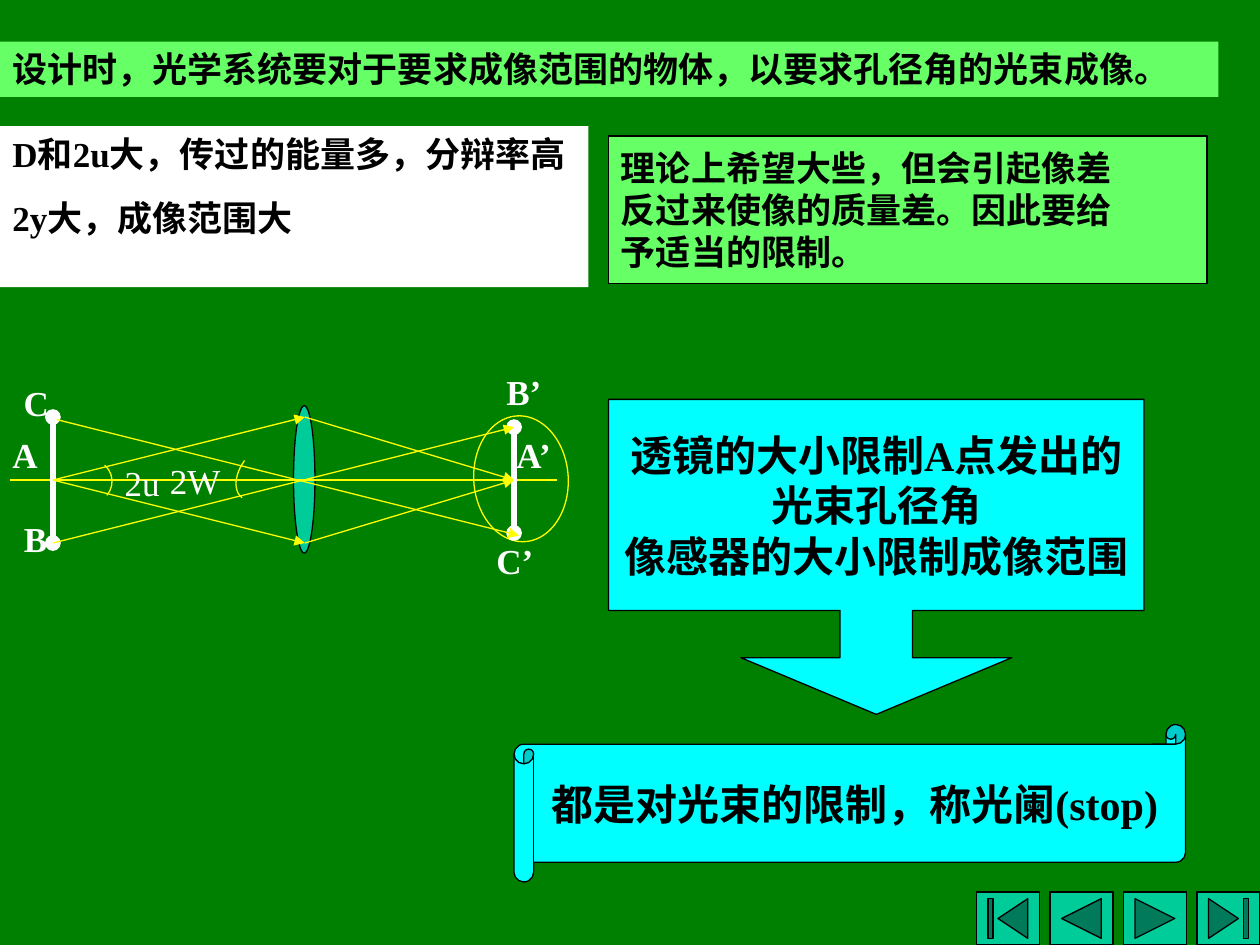
"""Build the slide on how a lens and a sensor limit the light beam."""
import pptx
import pptx.util
import pptx.dml.color
import pptx.enum.shapes
import pptx.enum.text
import pptx.oxml
import pptx.oxml.ns
from pptx.util import Inches

RGBColor = pptx.dml.color.RGBColor
MSO_SHAPE = pptx.enum.shapes.MSO_SHAPE
MSO_ANCHOR = pptx.enum.text.MSO_ANCHOR
PP_ALIGN = pptx.enum.text.PP_ALIGN

GREEN = RGBColor(0x00, 0x80, 0x00)
LIGHT_GREEN = RGBColor(0x66, 0xFF, 0x66)
TEAL = RGBColor(0x00, 0xCC, 0x99)
CYAN = RGBColor(0x00, 0xFF, 0xFF)
YELLOW = RGBColor(0xFF, 0xFF, 0x00)
WHITE = RGBColor(0xFF, 0xFF, 0xFF)
BLACK = RGBColor(0x00, 0x00, 0x00)


def write_text(shape, text, size=20, color=BLACK, bold=True, align=PP_ALIGN.LEFT,
               anchor=MSO_ANCHOR.TOP, wrap=False, space_before=0, font="Times New Roman"):
    frame = shape.text_frame
    frame.word_wrap = wrap
    frame.vertical_anchor = anchor
    for index, line in enumerate(text.split("\n")):
        paragraph = frame.add_paragraph() if index else frame.paragraphs[0]
        paragraph.alignment = align
        if index:
            paragraph.space_before = pptx.util.Pt(space_before)
        run = paragraph.add_run()
        run.text = line
        run.font.name = font
        run.font.size = pptx.util.Pt(size)
        run.font.bold = bold
        run.font.color.rgb = color


class SlideBuilder:
    def __init__(self, presentation, background):
        self.slide = presentation.slides.add_slide(presentation.slide_layouts[6])
        self.slide.background.fill.solid()
        self.slide.background.fill.fore_color.rgb = background
        self.thin = pptx.util.Pt(0.75)

    def shape(self, kind, left, top, width, height, fill=None, line=BLACK,
              rotation=0, adjustments=()):
        shape = self.slide.shapes.add_shape(
            kind, Inches(left), Inches(top), Inches(width), Inches(height))
        shape.shadow.inherit = False
        shape.rotation = rotation
        for index, value in enumerate(adjustments):
            shape.adjustments[index] = value
        if fill is None:
            shape.fill.background()
        else:
            shape.fill.solid()
            shape.fill.fore_color.rgb = fill
        if line is None:
            shape.line.fill.background()
        else:
            shape.line.color.rgb = line
            shape.line.width = self.thin
        return shape

    def arc(self, center_x, center_y, radius_x, radius_y, rotation):
        return self.shape(MSO_SHAPE.ARC, center_x - radius_x, center_y - radius_y,
                          2 * radius_x, 2 * radius_y, line=YELLOW, rotation=rotation)

    def line(self, start, end, color=YELLOW, width=0.75, tail=None):
        connector = self.slide.shapes.add_connector(
            pptx.enum.shapes.MSO_CONNECTOR.STRAIGHT,
            Inches(start[0]), Inches(start[1]), Inches(end[0]), Inches(end[1]))
        connector.line.color.rgb = color
        connector.line.width = pptx.util.Pt(width)
        if tail:
            tail_end = pptx.oxml.parse_xml(
                f'<a:tailEnd {pptx.oxml.ns.nsdecls("a")} type="{tail}"/>')
            connector.line._get_or_add_ln().append(tail_end)
        connector._element.spPr.append(
            pptx.oxml.parse_xml(f'<a:effectLst {pptx.oxml.ns.nsdecls("a")}/>'))

    def label(self, text, left, top, width, bold=True):
        box = self.slide.shapes.add_textbox(
            Inches(left), Inches(top), Inches(width), Inches(0.44))
        write_text(box, text, color=WHITE, bold=bold)


def add_statements(builder):
    heading = builder.shape(MSO_SHAPE.RECTANGLE, 0, 0.33, 9.67, 0.44, LIGHT_GREEN, None)
    write_text(heading, "设计时，光学系统要对于要求成像范围的物体，以要求孔径角的光束成像。", wrap=True)
    benefits = builder.shape(MSO_SHAPE.RECTANGLE, 0, 1, 4.67, 1.28, WHITE, None)
    write_text(benefits, "D和2u大，传过的能量多，分辩率高\n2y大，成像范围大",
               wrap=True, space_before=12.5)
    limits = builder.shape(MSO_SHAPE.RECTANGLE, 4.83, 1.08, 4.75, 1.17, LIGHT_GREEN)
    write_text(limits, "理论上希望大些，但会引起像差\n反过来使像的质量差。因此要给\n予适当的限制。",
               anchor=MSO_ANCHOR.MIDDLE)


def add_optics(builder):
    axis, object_x, lens_x, image_x = 3.81, 0.42, 2.42, 4.08
    builder.shape(MSO_SHAPE.OVAL, 2.33, 3.22, 0.17, 1.17, TEAL)
    builder.line((0.08, axis), (4.42, axis))
    builder.shape(MSO_SHAPE.OVAL, 3.76, 3.3, 0.75, 1, line=YELLOW, rotation=356.3)
    for x, half_height in ((object_x, 0.5), (image_x, 0.42)):
        for side in (-1, 1):
            builder.line((x, axis), (x, axis + side * half_height), WHITE, 3, "oval")
    for text, left, top, width in (
            ("A", 0, 3.39, 0.4), ("B", 0.09, 4.06, 0.38), ("C", 0.09, 2.98, 0.4),
            ("A’", 4, 3.39, 0.49), ("B’", 3.92, 2.89, 0.48), ("C’", 3.84, 4.23, 0.49)):
        builder.label(text, left, top, width)
    for side in (-1, 1):
        lens_edge = (lens_x, axis + side * 0.5)
        builder.line((object_x, axis), lens_edge, tail="triangle")
        builder.line(lens_edge, (image_x, axis), tail="triangle")
    builder.line((object_x, 4.31), (image_x, 3.39), tail="triangle")
    builder.line((0.45, 3.33), (4.12, 4.25), tail="triangle")
    builder.label("2u", 0.89, 3.61, 0.48, bold=False)
    builder.label("2W", 1.25, 3.6, 0.6, bold=False)
    builder.arc(0.72, 3.82, 0.17, 0.17, 41.1)
    builder.arc(2.07, 3.75, 0.16, 0.25, 216.4)


def add_conclusion(builder):
    callout = builder.shape(MSO_SHAPE.DOWN_ARROW_CALLOUT, 4.83, 3.17, 4.25, 2.5, CYAN,
                            adjustments=(0.29, 0.53, 0.22, 0.67))
    scroll = builder.shape(MSO_SHAPE.HORIZONTAL_SCROLL, 4.08, 5.75, 5.33, 1.25, CYAN)
    callout.adjustments[0], callout.adjustments[1], callout.adjustments[2] = 0.23, 0.43, 0.18
    for shape, text in (
            (callout, "透镜的大小限制A点发出的\n光束孔径角\n像感器的大小限制成像范围"),
            (scroll, "都是对光束的限制，称光阑(stop)")):
        write_text(shape, text, size=24, align=PP_ALIGN.CENTER, anchor=MSO_ANCHOR.MIDDLE)


def add_navigation(builder):
    buttons = (MSO_SHAPE.ACTION_BUTTON_BEGINNING, MSO_SHAPE.ACTION_BUTTON_BACK_OR_PREVIOUS,
               MSO_SHAPE.ACTION_BUTTON_FORWARD_OR_NEXT, MSO_SHAPE.ACTION_BUTTON_END)
    for index, kind in enumerate(buttons):
        builder.shape(kind, 7.75 + index * 1.75 / 3, 7.08, 0.5, 0.42, TEAL)


def main():
    presentation = pptx.Presentation()
    presentation.slide_width, presentation.slide_height = Inches(10), Inches(7.5)
    builder = SlideBuilder(presentation, GREEN)
    add_statements(builder)
    add_optics(builder)
    add_conclusion(builder)
    add_navigation(builder)
    presentation.save("out.pptx")


if __name__ == "__main__":
    main()
